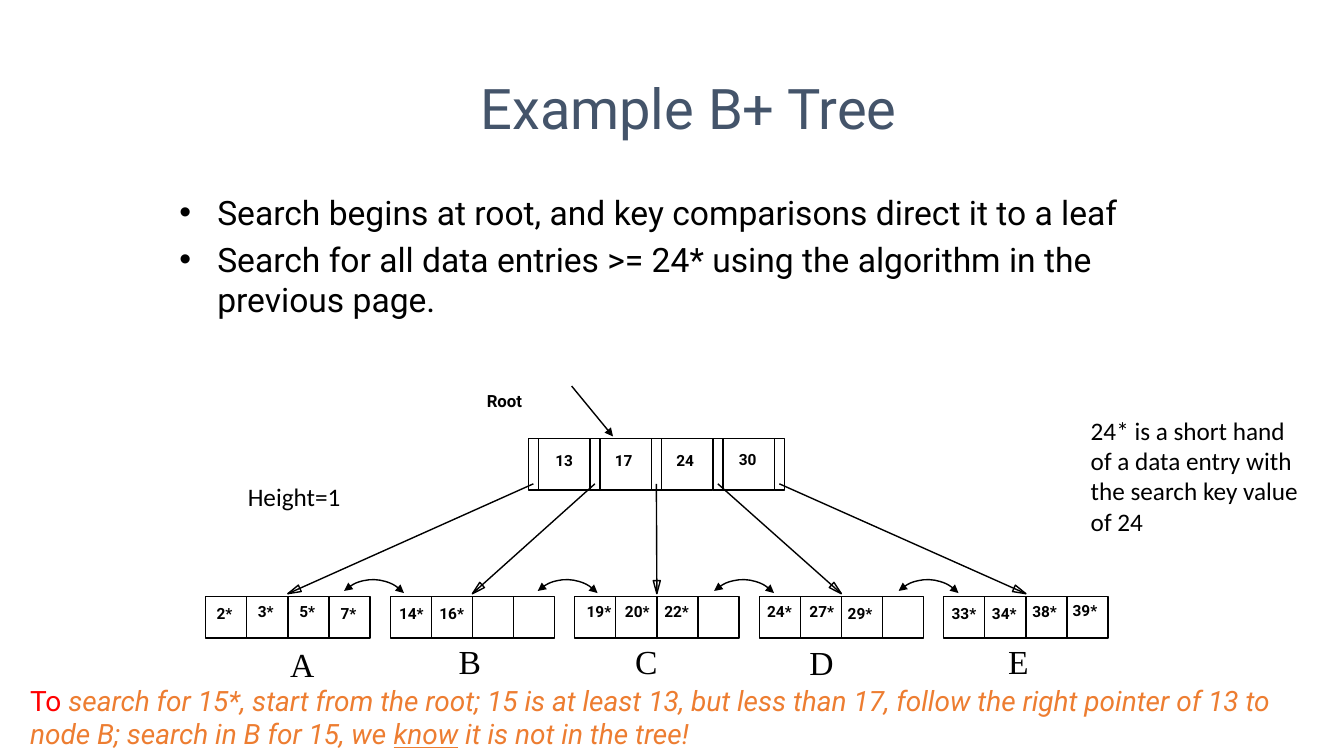
from dataclasses import dataclass
from math import hypot

from lxml.etree import SubElement
from pptx import Presentation
from pptx.dml.color import RGBColor
from pptx.enum.shapes import MSO_CONNECTOR, MSO_SHAPE
from pptx.enum.text import MSO_ANCHOR, MSO_AUTO_SIZE, PP_ALIGN
from pptx.oxml.ns import qn
from pptx.util import Inches, Pt


@dataclass(frozen=True)
class Theme:
    """Colours, fonts and type sizes of the slide."""
    ink: RGBColor = RGBColor(0, 0, 0)
    title: RGBColor = RGBColor(0x44, 0x54, 0x6A)
    red: RGBColor = RGBColor(0xFF, 0, 0)
    orange: RGBColor = RGBColor(0xED, 0x7D, 0x31)
    main_font: str = "Roboto"
    note_font: str = "Calibri"
    leaf_font: str = "Times New Roman"
    title_size: int = 40
    body_size: int = 24
    example_size: int = 20
    note_size: int = 18
    root_size: int = 12
    key_size: int = 11
    line_width: int = 1


THEME = Theme()

ROOT_LEFT, ROOT_TOP, ROOT_HEIGHT = 5.24, 4.35, 0.51
ROOT_STEP, POINTER_WIDTH = 0.61, 0.1
LEAF_LEFT, LEAF_TOP, LEAF_STEP = 2.04, 5.92, 1.83
LEAF_WIDTH, LEAF_HEIGHT, LEAF_SLOTS = 1.63, 0.41, 4
ARROW_TOP, ARROW_BOTTOM = 4.8, 5.89
# The arc shape shows one quarter of a circle of this size.
ARC_SIZE, ARC_TOP = 0.84, 5.75

# Each key is its text with the left and top of its box.
ROOT_KEYS = [("13", 5.41, 4.43), ("17", 6, 4.43), ("24", 6.61, 4.43), ("30", 7.23, 4.42)]
LEAF_KEYS = [
    ("2*", 2.05, 5.94), ("3*", 2.46, 5.92), ("5*", 2.87, 5.92), ("7*", 3.28, 5.94),
    ("14*", 3.86, 5.94), ("16*", 4.26, 5.94),
    ("19*", 5.72, 5.92), ("20*", 6.1, 5.92), ("22*", 6.49, 5.92),
    ("24*", 7.51, 5.92), ("27*", 7.93, 5.92), ("29*", 8.31, 5.94),
    ("33*", 9.34, 5.94), ("34*", 9.74, 5.94), ("38*", 10.14, 5.92), ("39*", 10.54, 5.91),
]
LEAF_NAMES = [("A", 2.78, 6.34), ("B", 4.45, 6.31), ("C", 6.2, 6.31),
              ("D", 7.93, 6.32), ("E", 9.9, 6.31)]
LABEL_WIDTHS = {1: 0.44, 2: 0.4, 3: 0.46}
SIBLING_ARC_LEFTS = [3.28, 5.2, 6.95, 8.78]


def set_font(font, name, size, color, bold=None):
    """Format a paragraph's font."""
    font.name, font.size, font.bold = name, Pt(size), bold
    font.color.rgb = color


def outline(shape):
    """Give a shape or connector the thin black line."""
    shape.line.color.rgb = THEME.ink
    shape.line.width = Pt(THEME.line_width)


def add_arrowheads(shape, *ends):
    """Put filled triangles on the named line ends, headEnd first."""
    for end in ends:
        SubElement(shape.get_or_add_ln(), qn(f"a:{end}"), type="triangle")


def fill_placeholder(placeholder, box, lines, size, color):
    """Move a placeholder and write one paragraph for each line."""
    placeholder.left, placeholder.top, placeholder.width, placeholder.height = map(Inches, box)
    frame = placeholder.text_frame
    frame.text = "\n".join(lines)
    frame.auto_size = MSO_AUTO_SIZE.NONE
    for paragraph in frame.paragraphs:
        set_font(paragraph.font, THEME.main_font, size, color)


def add_text(slide, text, box, font_name, size, bold=None, wrap=False):
    """Add a text box that grows with its text and return its paragraph."""
    frame = slide.shapes.add_textbox(*map(Inches, box)).text_frame
    frame.word_wrap = wrap
    frame.auto_size = MSO_AUTO_SIZE.SHAPE_TO_FIT_TEXT
    paragraph = frame.paragraphs[0]
    paragraph.text = text
    set_font(paragraph.font, font_name, size, THEME.ink, bold)
    return paragraph


def add_labels(slide, labels, height, font_name, size, bold=None):
    """Add short labels, each as wide as its text needs."""
    for text, left, top in labels:
        box = (left, top, LABEL_WIDTHS[len(text)], height)
        add_text(slide, text, box, font_name, size, bold)


def add_outlined_shape(slide, kind, left, top, width, height):
    """Add an unfilled preset shape with the thin line."""
    shape = slide.shapes.add_shape(kind, *map(Inches, (left, top, width, height)))
    shape.shadow.inherit = False
    shape.fill.background()
    outline(shape)
    return shape


def add_line(slide, start, end):
    """Add a straight line between two points."""
    line = slide.shapes.add_connector(MSO_CONNECTOR.STRAIGHT, *map(Inches, start + end))
    outline(line)
    SubElement(line._element.spPr, qn("a:effectLst"))
    return line


def add_child_pointer(slide, start, end, length=0.13, half_width=0.035):
    """Add a line that ends in a hollow triangle."""
    add_line(slide, start, end)
    run, rise = end[0] - start[0], end[1] - start[1]
    distance = hypot(run, rise)
    unit_x, unit_y = run / distance, rise / distance
    base_x, base_y = end[0] - length * unit_x, end[1] - length * unit_y
    corners = [(Inches(base_x - side * unit_y), Inches(base_y + side * unit_x))
               for side in (half_width, -half_width)]
    builder = slide.shapes.build_freeform(Inches(end[0]), Inches(end[1]))
    builder.add_line_segments(corners, close=True)
    head = builder.convert_to_shape()
    head.shadow.inherit = False
    head.fill.background()
    outline(head)


def add_sibling_arc(slide, left):
    """Add the two-headed arc that links neighbouring leaves."""
    arc = add_outlined_shape(slide, MSO_SHAPE.ARC, left, ARC_TOP, ARC_SIZE, ARC_SIZE)
    arc.rotation = 317
    add_arrowheads(arc, "headEnd", "tailEnd")


def add_root(slide):
    """Draw the root node, its keys and the arrow that marks it."""
    bottom = ROOT_TOP + ROOT_HEIGHT
    for index in range(len(ROOT_KEYS)):
        left = ROOT_LEFT + index * ROOT_STEP
        divider = left + POINTER_WIDTH
        add_outlined_shape(slide, MSO_SHAPE.RECTANGLE, left, ROOT_TOP, ROOT_STEP, ROOT_HEIGHT)
        add_line(slide, (divider, ROOT_TOP), (divider, bottom))
    last = ROOT_LEFT + len(ROOT_KEYS) * ROOT_STEP
    add_outlined_shape(slide, MSO_SHAPE.RECTANGLE, last, ROOT_TOP, POINTER_WIDTH, ROOT_HEIGHT)
    add_labels(slide, ROOT_KEYS, 0.28, THEME.main_font, THEME.key_size, True)
    add_text(slide, "Root", (4.73, 3.83, 0.56, 0.3), THEME.main_font, THEME.root_size, True)
    add_arrowheads(add_line(slide, (5.67, 3.83), (6.08, 4.33)), "tailEnd")


def add_leaves(slide):
    """Draw the leaves, the pointers to them and the arcs between them."""
    slot = LEAF_WIDTH / LEAF_SLOTS
    for index in range(len(LEAF_NAMES)):
        left = LEAF_LEFT + index * LEAF_STEP
        for position in range(LEAF_SLOTS):
            add_outlined_shape(slide, MSO_SHAPE.RECTANGLE, left + position * slot,
                               LEAF_TOP, slot, LEAF_HEIGHT)
        start_x = ROOT_LEFT + index * ROOT_STEP + POINTER_WIDTH / 2
        add_child_pointer(slide, (start_x, ARROW_TOP), (left + LEAF_WIDTH / 2, ARROW_BOTTOM))
    add_labels(slide, LEAF_KEYS, 0.28, THEME.main_font, THEME.key_size, True)
    add_labels(slide, LEAF_NAMES, 0.5, THEME.leaf_font, THEME.body_size)
    for left in SIBLING_ARC_LEFTS:
        add_sibling_arc(slide, left)


def add_search_example(slide):
    """Write the worked search along the bottom edge."""
    paragraph = add_text(slide, "", (0.2, 6.73, 12.94, 0.77), THEME.main_font,
                         THEME.example_size, wrap=True)
    paragraph.font.color.rgb = THEME.orange
    paragraph.add_run().text = "To "
    for text in ("search for 15*, start from the root; 15 is at least 13, but less than 17, "
                 "follow the right pointer of 13 to node B; search in B for 15, we ",
                 "know", " it is not in the tree!"):
        run = paragraph.add_run()
        run.text = text
        run.font.italic = True
    paragraph.runs[0].font.color.rgb = THEME.red
    paragraph.runs[2].font.underline = True


def main():
    """Build the slide and save it."""
    presentation = Presentation()
    presentation.slide_width, presentation.slide_height = Inches(13.33), Inches(7.5)
    slide = presentation.slides.add_slide(presentation.slide_layouts[1])
    title, body = slide.placeholders
    fill_placeholder(title, (2.58, 0.46, 8.5, 1.21), ["Example B+ Tree"],
                     THEME.title_size, THEME.title)
    title.text_frame.vertical_anchor = MSO_ANCHOR.MIDDLE
    title.text_frame.paragraphs[0].alignment = PP_ALIGN.CENTER
    fill_placeholder(body, (1.68, 1.85, 10.07, 1.75), [
        "Search begins at root, and key comparisons direct it to a leaf",
        "Search for all data entries >= 24* using the algorithm in the previous page.",
    ], THEME.body_size, THEME.ink)
    add_search_example(slide)
    add_root(slide)
    add_leaves(slide)
    add_text(slide, "Height=1", (2.36, 4.73, 1.13, 0.4), THEME.note_font, THEME.note_size)
    add_text(slide, "24* is a short hand of a data entry with the search key value of 24",
             (10.72, 4.07, 2.37, 1.31), THEME.note_font, THEME.note_size, wrap=True)
    presentation.save("out.pptx")


main()
